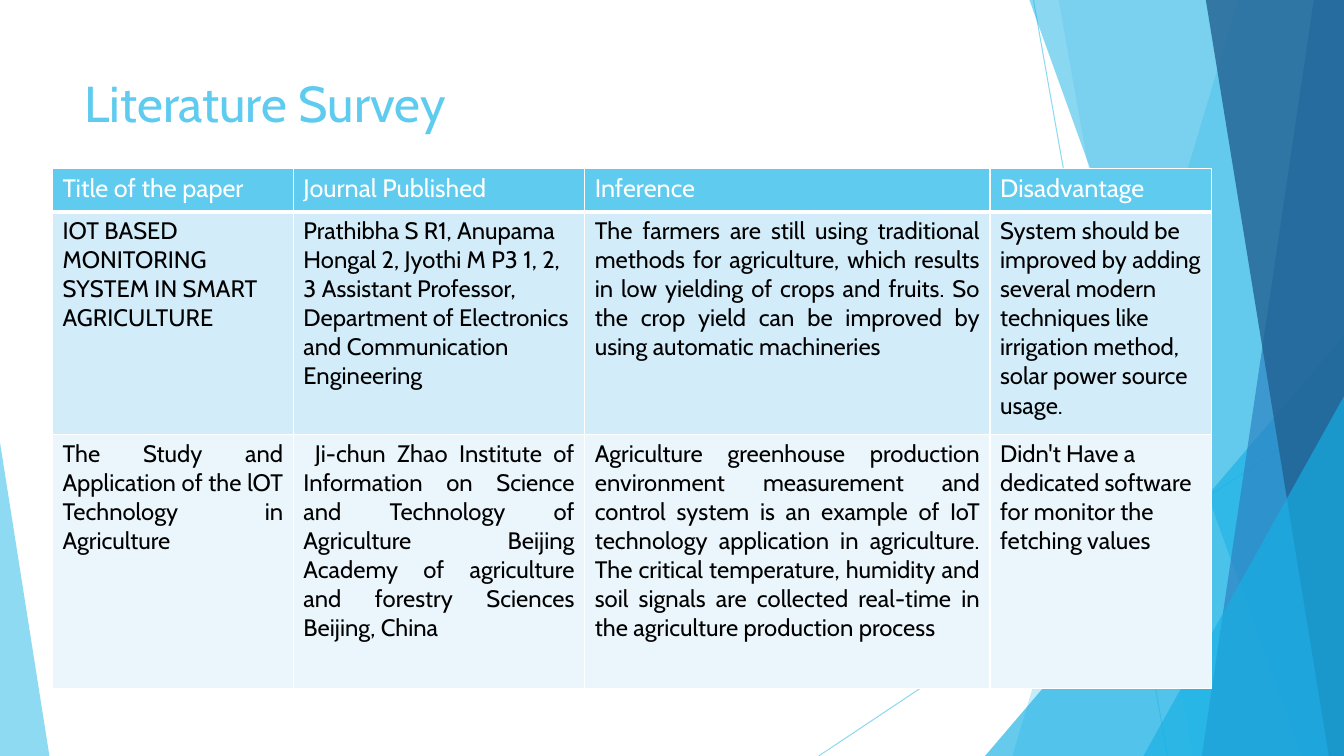
from lxml import etree
from pptx import Presentation
from pptx.dml.color import RGBColor
from pptx.enum.shapes import MSO_CONNECTOR, MSO_SHAPE
from pptx.enum.text import MSO_ANCHOR, PP_ALIGN
from pptx.oxml.ns import qn
from pptx.util import Inches, Pt

FONT = "Cabin"
WIDTH, HEIGHT = 13.33, 7.5
COLORS = {
    "sky": "5FCBEF",
    "cyan": "17B0E4",
    "blue": "2E83C3",
    "navy": "226292",
    "white": "FFFFFF",
    "black": "000000",
    "band_dark": "D2ECF9",
    "band_light": "EAF6FC",
}
LEFT, JUSTIFY = PP_ALIGN.LEFT, PP_ALIGN.JUSTIFY

COLUMN_WIDTHS = [2.39, 2.89, 4.02, 2.2]
ROW_HEIGHTS = [0.43, 2.21, 2.52]
HEADINGS = ["Title of the paper", "Journal Published", "Inference", "Disadvantage"]
PAPERS = [
    [
        ("IOT BASED MONITORING SYSTEM IN SMART AGRICULTURE", LEFT),
        ("Prathibha S R1, Anupama Hongal 2, Jyothi M P3 1, 2, 3 Assistant Professor, "
         "Department of Electronics and Communication Engineering", LEFT),
        ("The farmers are still using traditional methods for agriculture, which results "
         "in low yielding of crops and fruits. So the crop yield can be improved by using "
         "automatic machineries", JUSTIFY),
        ("System should be improved by adding several modern techniques like irrigation "
         "method, solar power source usage.", LEFT),
    ],
    [
        ("The Study and Application of the lOT Technology in Agriculture", JUSTIFY),
        (" Ji-chun Zhao Institute of Information on Science and Technology of Agriculture "
         "Beijing Academy of agriculture and forestry Sciences Beijing, China", JUSTIFY),
        ("Agriculture greenhouse production environment measurement and control system is "
         "an example of IoT technology application in agriculture. The critical "
         "temperature, humidity and soil signals are collected real-time in the "
         "agriculture production process", JUSTIFY),
        ("Didn't Have a dedicated software for monitor the fetching values", LEFT),
    ],
]


def rgb(name):
    return RGBColor.from_string(COLORS[name])


def set_opacity(fill, percent):
    color = fill._xPr.find(qn("a:solidFill"))[0]
    etree.SubElement(color, qn("a:alpha"), val=str(percent * 1000))


def paint(shape, color, opacity):
    shape.shadow.inherit = False
    shape.fill.solid()
    shape.fill.fore_color.rgb = rgb(color)
    set_opacity(shape.fill, opacity)
    shape.line.fill.background()


def add_ray(page, start, end):
    ray = page.shapes.add_connector(
        MSO_CONNECTOR.STRAIGHT, *(Inches(value) for value in start + end))
    ray.line.width = Pt(0.75)
    ray.line.fill.solid()
    ray.line.color.rgb = rgb("sky")
    set_opacity(ray.line.fill, 70)
    etree.SubElement(ray._element.spPr, qn("a:effectLst"))


def add_blade(page, top_x, bottom_x, color, opacity):
    """Fill the slide from a slanted left edge to its right side."""
    corners = [(top_x, 0), (WIDTH, 0), (WIDTH, HEIGHT), (bottom_x, HEIGHT)]
    points = [(Inches(x), Inches(y)) for x, y in corners]
    builder = page.shapes.build_freeform(*points[0])
    builder.add_line_segments(points[1:], close=True)
    paint(builder.convert_to_shape(), color, opacity)


def add_corner(page, left, top, right, apex, color, opacity):
    """Stand a triangle on the bottom edge; apex 0 is left, 1 is right."""
    corner = page.shapes.add_shape(
        MSO_SHAPE.ISOSCELES_TRIANGLE,
        Inches(left), Inches(top), Inches(right - left), Inches(HEIGHT - top))
    corner.adjustments[0] = apex
    paint(corner, color, opacity)


def add_backdrop(page):
    add_ray(page, (10.25, 0), (11.58, HEIGHT))
    add_ray(page, (WIDTH, 4.03), (8.12, HEIGHT))
    add_blade(page, 12.28, 10.04, "sky", 36)
    add_blade(page, 10.5, 11.83, "sky", 20)
    add_corner(page, 9.77, 3.33, WIDTH, 1, "cyan", 66)
    add_blade(page, 10.21, 12.91, "cyan", 50)
    add_blade(page, 13.03, 11.92, "blue", 70)
    add_blade(page, 11.96, 13.18, "navy", 80)
    add_corner(page, 11.34, 3.93, WIDTH, 1, "cyan", 66)
    add_corner(page, 0, 4.39, 0.49, 0, "sky", 70)


def write(frame, text, size, color, align=LEFT):
    frame.word_wrap = True
    para = frame.paragraphs[0]
    para.alignment = align
    span = para.add_run()
    span.text = text
    span.font.name = FONT
    span.font.size = Pt(size)
    span.font.bold = False
    span.font.color.rgb = rgb(color)


def add_title(page, left, top, width, height):
    box = page.shapes.add_textbox(
        Inches(left), Inches(top), Inches(width), Inches(height))
    box.text_frame.vertical_anchor = MSO_ANCHOR.TOP
    write(box.text_frame, "Literature Survey", 36, "sky")


def add_borders(cell, bottom):
    props = cell._tc.get_or_add_tcPr()
    for side, points in (("L", 1), ("R", 1), ("T", 1), ("B", bottom)):
        edge = etree.SubElement(props, qn(f"a:ln{side}"), w=str(Pt(points)))
        fill = etree.SubElement(edge, qn("a:solidFill"))
        etree.SubElement(fill, qn("a:srgbClr"), val=COLORS["white"])


def fill_row(table, index, entries, size, color, band, bottom=1):
    for column, (text, align) in enumerate(entries):
        cell = table.cell(index, column)
        add_borders(cell, bottom)
        cell.fill.solid()
        cell.fill.fore_color.rgb = rgb(band)
        write(cell.text_frame, text, size, color, align)


def add_survey(page, left, top):
    table = page.shapes.add_table(
        len(ROW_HEIGHTS), len(COLUMN_WIDTHS), Inches(left), Inches(top),
        Inches(sum(COLUMN_WIDTHS)), Inches(sum(ROW_HEIGHTS))).table
    for column, width in zip(table.columns, COLUMN_WIDTHS):
        column.width = Inches(width)
    for row, height in zip(table.rows, ROW_HEIGHTS):
        row.height = Inches(height)
    headings = [(text, LEFT) for text in HEADINGS]
    fill_row(table, 0, headings, 18, "white", "sky", bottom=3)
    for index, paper in enumerate(PAPERS, start=1):
        band = "band_dark" if index % 2 else "band_light"
        fill_row(table, index, paper, 17, "black", band)


def main():
    deck = Presentation()
    deck.slide_width, deck.slide_height = Inches(WIDTH), Inches(HEIGHT)
    page = deck.slides.add_slide(deck.slide_layouts[6])
    add_backdrop(page)
    add_title(page, 0.74, 0.67, 9.4, 1.44)
    add_survey(page, 0.52, 1.67)
    deck.save("out.pptx")


if __name__ == "__main__":
    main()
